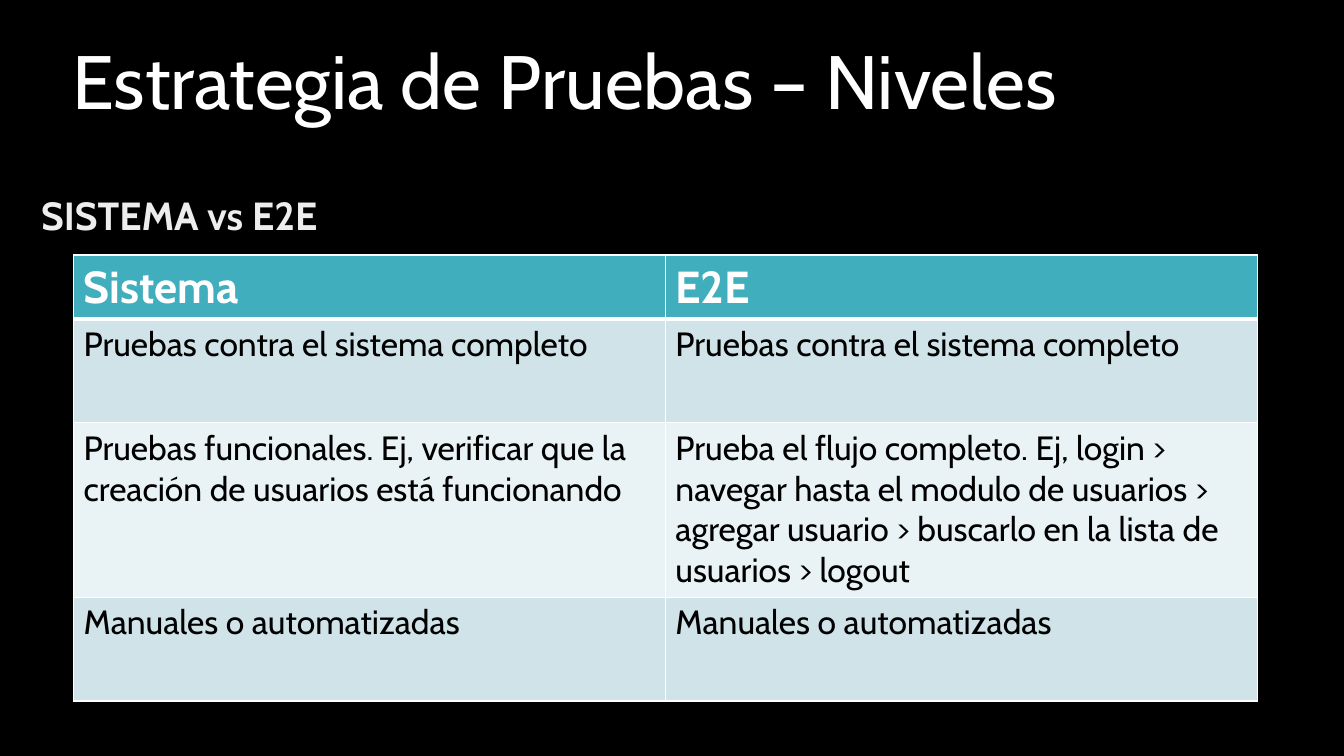
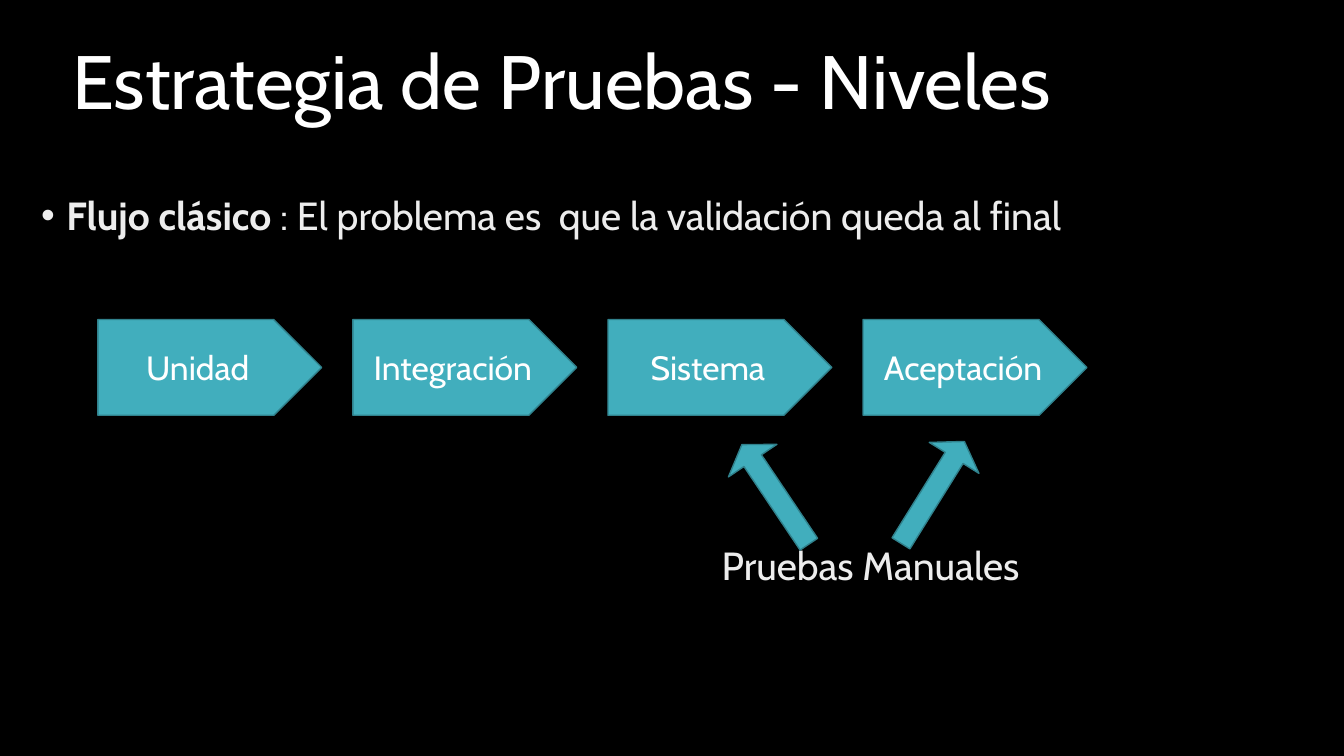
from dataclasses import dataclass

from lxml import etree
from pptx import Presentation
from pptx.dml import color
from pptx.enum import shapes, text
from pptx.oxml import ns
from pptx.util import Inches, Pt


@dataclass(frozen=True)
class Theme:
    font: str = "Cabin"
    black: color.RGBColor = color.RGBColor(0x00, 0x00, 0x00)
    white: color.RGBColor = color.RGBColor(0xFF, 0xFF, 0xFF)
    body: color.RGBColor = color.RGBColor(0xED, 0xED, 0xED)
    teal: color.RGBColor = color.RGBColor(0x41, 0xAE, 0xBD)
    outline: color.RGBColor = color.RGBColor(0x30, 0x81, 0x8C)
    band_dark: color.RGBColor = color.RGBColor(0xCF, 0xE3, 0xE8)
    band_light: color.RGBColor = color.RGBColor(0xE9, 0xF2, 0xF4)
    title_size: int = 54
    header_size: int = 32
    body_size: int = 28
    label_size: int = 24


def apply(target, values):
    for name, value in values.items():
        setattr(target, name, value)


class Deck:
    def __init__(self, theme):
        self.theme = theme
        self.presentation = Presentation()
        apply(self.presentation, {"slide_width": Inches(13.33), "slide_height": Inches(7.5)})
        self.slide = None

    def add_slide(self, title):
        self.slide = self.presentation.slides.add_slide(self.presentation.slide_layouts[6])
        background = self.slide.background.fill
        background.solid()
        background.fore_color.rgb = self.theme.black
        frame = self.text_box(0.62, 0.12, 11.5, 1.45)
        frame.vertical_anchor = text.MSO_ANCHOR.MIDDLE
        paragraph = frame.paragraphs[0]
        paragraph.line_spacing = 0.9
        self.add_run(paragraph, title, self.theme.title_size, self.theme.white)

    def text_box(self, left, top, width, height):
        shape = self.slide.shapes.add_textbox(*map(Inches, (left, top, width, height)))
        shape.text_frame.word_wrap = True
        return shape.text_frame

    def add_run(self, paragraph, words, size, rgb, bold=False):
        run = paragraph.add_run()
        run.text = words
        apply(run.font, {"name": self.theme.font, "size": Pt(size), "bold": bold})
        run.font.color.rgb = rgb

    def body_text(self, left, top, width, height, runs, bullet=False):
        paragraph = self.text_box(left, top, width, height).paragraphs[0]
        apply(paragraph, {"line_spacing": 0.9, "space_before": Pt(10)})
        for words, bold in runs:
            self.add_run(paragraph, words, self.theme.body_size, self.theme.body, bold)
        if bullet:
            properties = paragraph._p.get_or_add_pPr()
            properties.set("marL", str(Inches(0.25)))
            properties.set("indent", str(-Inches(0.25)))
            etree.SubElement(properties, ns.qn("a:buFont")).set("typeface", "Arial")
            etree.SubElement(properties, ns.qn("a:buChar")).set("char", "•")

    def filled_shape(self, kind, left, top, width, height):
        shape = self.slide.shapes.add_shape(kind, *map(Inches, (left, top, width, height)))
        shape.shadow.inherit = False
        shape.fill.solid()
        shape.fill.fore_color.rgb = self.theme.teal
        shape.line.color.rgb = self.theme.outline
        shape.line.width = Pt(1)
        return shape

    def stage(self, left, top, width, height, label):
        shape = self.filled_shape(shapes.MSO_SHAPE.PENTAGON, left, top, width, height)
        shape.text_frame.vertical_anchor = text.MSO_ANCHOR.MIDDLE
        paragraph = shape.text_frame.paragraphs[0]
        paragraph.alignment = text.PP_ALIGN.CENTER
        self.add_run(paragraph, label, self.theme.label_size, self.theme.white)

    def arrow(self, left, top, rotation):
        shape = self.filled_shape(shapes.MSO_SHAPE.DOWN_ARROW, left, top, 0.58, 1.19)
        shape.rotation = rotation
        shape.adjustments[0] = 0.36
        shape.adjustments[1] = 0.33

    def cell_borders(self, cell, widths):
        properties = cell._tc.get_or_add_tcPr()
        for index, (side, points) in enumerate(widths.items()):
            line = etree.Element(ns.qn(f"a:ln{side}"), w=str(Pt(points)))
            fill = etree.SubElement(line, ns.qn("a:solidFill"))
            etree.SubElement(fill, ns.qn("a:srgbClr")).set("val", str(self.theme.white))
            properties.insert(index, line)

    def table(self, left, top, width, heights, rows):
        theme = self.theme
        box = map(Inches, (left, top, width, sum(heights)))
        table = self.slide.shapes.add_table(len(rows), len(rows[0]), *box).table
        for row_index, (height, row) in enumerate(zip(heights, rows)):
            table.rows[row_index].height = Inches(height)
            header = row_index == 0
            band = theme.band_dark if row_index % 2 else theme.band_light
            size, rgb = (theme.header_size, theme.white) if header else (theme.label_size, theme.black)
            widths = {"L": 1, "R": 1, "T": 3 if row_index == 1 else 1, "B": 3 if header else 1}
            for column_index, words in enumerate(row):
                cell = table.cell(row_index, column_index)
                cell.fill.solid()
                cell.fill.fore_color.rgb = theme.teal if header else band
                self.add_run(cell.text_frame.paragraphs[0], words, size, rgb, header)
                self.cell_borders(cell, widths)


def build_comparison(deck):
    deck.add_slide("Estrategia de Pruebas – Niveles")
    deck.body_text(0.31, 1.9, 12.88, 0.6, [("SISTEMA vs E2E", True)])
    rows = [
        ("Sistema", "E2E"),
        ("Pruebas contra el sistema completo",) * 2,
        (
            "Pruebas funcionales. Ej, verificar que la creación de usuarios está funcionando",
            "Prueba el flujo completo. Ej, login > navegar hasta el modulo de usuarios > "
            "agregar usuario > buscarlo en la lista de usuarios > logout",
        ),
        ("Manuales o automatizadas",) * 2,
    ]
    deck.table(0.73, 2.53, 11.74, (0.63, 1.03, 1.73, 1.03), rows)


def build_flow(deck):
    deck.add_slide("Estrategia de Pruebas - Niveles")
    runs = [("Flujo clásico", True), (" : El problema es  que la validación queda al final", False)]
    deck.body_text(0.31, 1.9, 12.88, 0.6, runs, bullet=True)
    for index, label in enumerate(("Unidad", "Integración", "Sistema", "Aceptación")):
        deck.stage(0.97 + index * 2.53, 3.17, 2.22, 0.95, label)
    deck.body_text(7.06, 5.37, 3.43, 0.76, [("Pruebas Manuales", False)])
    for left, top, rotation in ((7.4, 4.31, 146.1), (8.96, 4.29, 211.9)):
        deck.arrow(left, top, rotation)


def main():
    deck = Deck(Theme())
    build_comparison(deck)
    build_flow(deck)
    deck.presentation.save("out.pptx")


if __name__ == "__main__":
    main()
